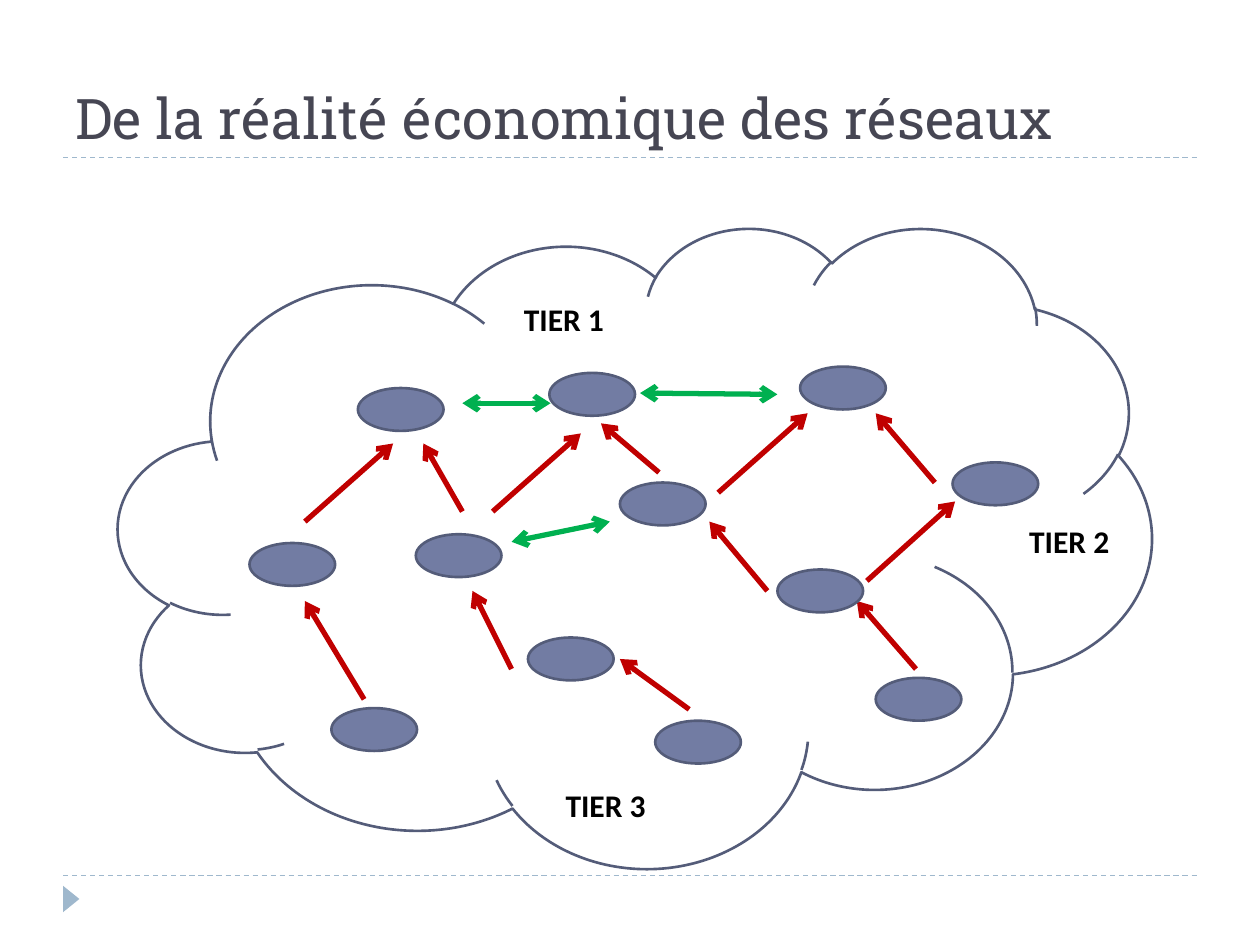
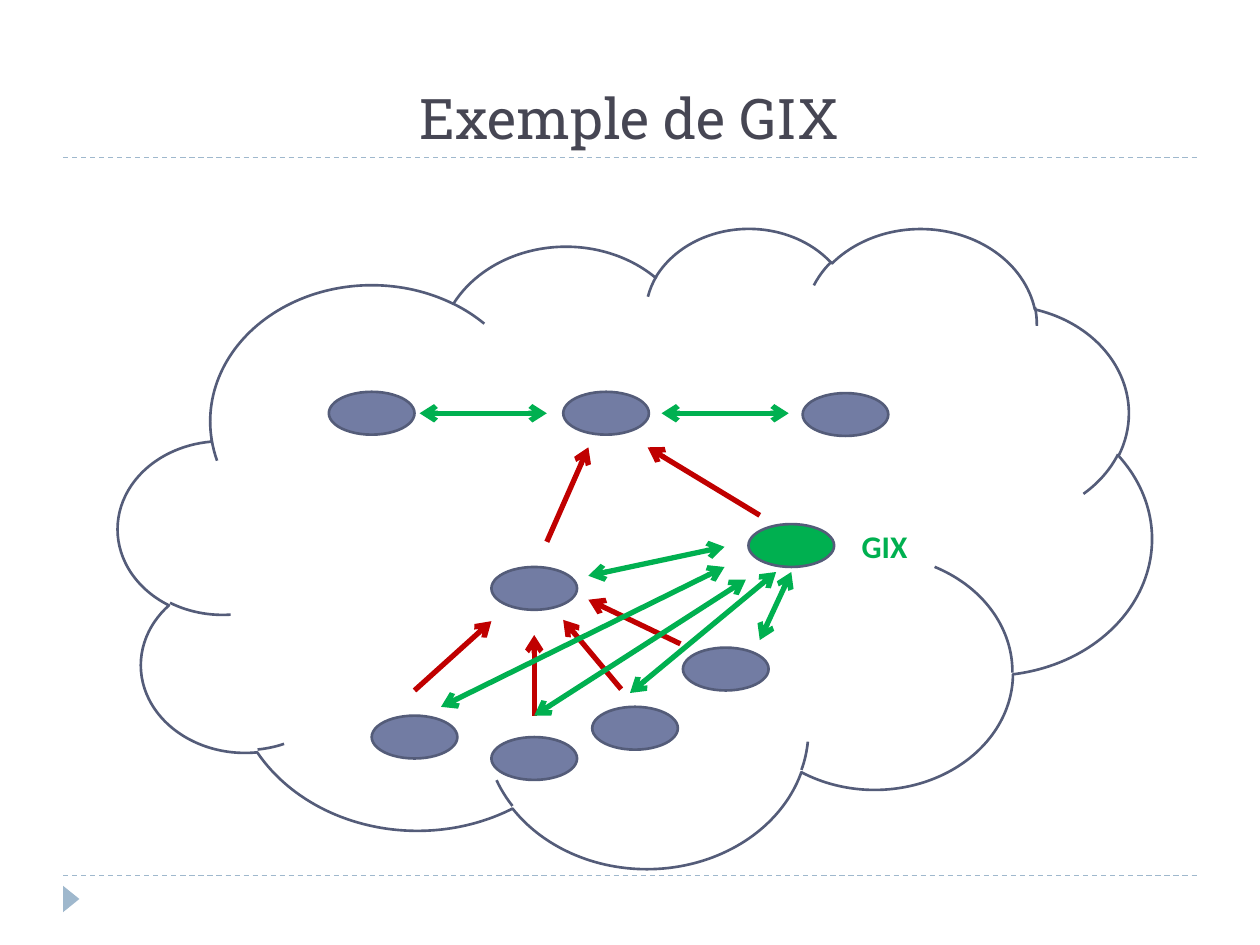
"""Build two slides on the economic tiers of networks and an exchange point."""
from lxml.etree import SubElement
from pptx import Presentation
from pptx.dml.color import RGBColor
from pptx.enum.dml import MSO_LINE
from pptx.enum.shapes import MSO_CONNECTOR, MSO_SHAPE
from pptx.enum.text import MSO_ANCHOR, PP_ALIGN
from pptx.oxml.ns import qn
from pptx.util import Pt

TITLE_INK = RGBColor(0x46, 0x46, 0x53)
RULE_BLUE = RGBColor(0x9F, 0xB8, 0xCD)
NODE_BLUE = RGBColor(0x72, 0x7C, 0xA3)
OUTLINE_BLUE = RGBColor(0x54, 0x5C, 0x79)
TRANSIT_RED = RGBColor(0xC0, 0x00, 0x00)
PEERING_GREEN = RGBColor(0x00, 0xB0, 0x50)
BLACK = RGBColor(0x00, 0x00, 0x00)

TITLE_FONT = {"name": "Roboto Slab", "size": Pt(32), "bold": False}
LABEL_FONT = {"name": "Calibri", "size": Pt(18), "bold": True}
NODE_WIDTH, NODE_HEIGHT = 0.68, 0.34
MARGIN, TITLE_RULE, FOOTER_RULE = 0.5, 1.25, 6.95

deck = Presentation()
deck.slide_width, deck.slide_height = Pt(720), Pt(540)
COLUMN = deck.slide_width / 10
ROW = deck.slide_height / 7.5


def add_figure(page, kind, left, top, width, height, fill=None, outline=None):
    """Add a preset shape measured in grid columns and rows."""
    figure = page.shapes.add_shape(
        kind, int(left * COLUMN), int(top * ROW), int(width * COLUMN), int(height * ROW)
    )
    figure.shadow.inherit = False
    for paint, color in ((figure.fill, fill), (figure.line.fill, outline)):
        if color is None:
            paint.background()
        else:
            paint.solid()
            paint.fore_color.rgb = color
    if outline is not None:
        figure.line.width = Pt(1.5)
    return figure


def add_line(page, start, end, color, weight, arrows=()):
    """Add a straight line with arrowheads at the named ends."""
    points = [int(n * cell) for point in (start, end) for n, cell in zip(point, (COLUMN, ROW))]
    line = page.shapes.add_connector(MSO_CONNECTOR.STRAIGHT, *points)
    line.line.color.rgb = color
    line.line.width = Pt(weight)
    properties = line._element.spPr
    for arrow in arrows:
        SubElement(properties.find(qn("a:ln")), qn(f"a:{arrow}"), type="arrow")
    SubElement(properties, qn("a:effectLst"))
    return line


slides = [
    {
        "title": "De la réalité économique des réseaux",
        "align": PP_ALIGN.LEFT,
        "transit": [
            ((3.67, 4.06), (3.36, 3.52)), ((2.42, 4.14), (3.12, 3.52)),
            ((3.91, 4.06), (4.61, 3.44)), ((5.7, 3.91), (6.41, 3.28)),
            ((7.42, 3.83), (6.95, 3.28)), ((7.27, 5.31), (6.8, 4.77)),
            ((5.47, 5.63), (4.92, 5.23)), ((2.89, 5.55), (2.42, 4.77)),
            ((6.09, 4.69), (5.63, 4.14)), ((6.88, 4.61), (7.58, 3.98)),
            ((4.06, 5.31), (3.75, 4.69)), ((5.23, 3.75), (4.77, 3.36)),
        ],
        "peering": [
            ((4.37, 3.2), (3.67, 3.2)), ((6.17, 3.13), (5.08, 3.12)),
            ((4.84, 4.14), (4.06, 4.3)),
        ],
        "networks": [
            (4.36, 2.96), (2.84, 3.08), (6.35, 2.91), (4.92, 3.83), (3.3, 4.24), (1.98, 4.31),
            (4.19, 5.06), (6.17, 4.52), (7.56, 3.67), (6.95, 5.38), (5.2, 5.72), (2.63, 5.62),
        ],
        "exchanges": [],
        "labels": [
            ("TIER 1", 4.06, 2.33, BLACK),
            ("TIER 2", 8.07, 4.09, BLACK),
            ("TIER 3", 4.39, 6.19, BLACK),
        ],
    },
    {
        "title": "Exemple de GIX",
        "align": PP_ALIGN.CENTER,
        "transit": [
            ((5.4, 5.11), (4.67, 4.76)), ((4.93, 5.47), (4.47, 4.92)),
            ((4.34, 4.3), (4.67, 3.55)), ((3.29, 5.48), (3.9, 4.93)),
            ((4.24, 5.68), (4.24, 5.04)), ((6.03, 4.09), (5.14, 3.55)),
        ],
        "peering": [
            ((6.26, 3.28), (5.25, 3.28)), ((4.34, 3.28), (3.33, 3.28)),
            ((5.75, 4.5), (3.5, 5.61)), ((5.92, 4.6), (4.24, 5.68)),
            ((6.16, 4.54), (5, 5.5)), ((6.28, 4.54), (6.03, 5.08)),
            ((5.75, 4.34), (4.67, 4.57)),
        ],
        "networks": [
            (2.61, 3.11), (4.47, 3.11), (6.37, 3.12), (3.9, 4.5),
            (2.95, 5.68), (3.9, 5.85), (4.7, 5.61), (5.42, 5.14),
        ],
        "exchanges": [(5.94, 4.16)],
        "labels": [("GIX", 6.74, 4.13, PEERING_GREEN)],
    },
]

for content in slides:
    page = deck.slides.add_slide(deck.slide_layouts[5])

    for height in (FOOTER_RULE, TITLE_RULE):
        rule = add_line(page, (MARGIN, height), (10 - MARGIN, height), RULE_BLUE, 0.75)
        rule.line.dash_style = MSO_LINE.DASH
    marker = add_figure(page, MSO_SHAPE.ISOSCELES_TRIANGLE, 0.46, 7.07, 0.21, 0.13, RULE_BLUE)
    marker.rotation = 90

    title = page.shapes.title
    title.left, title.top = int(MARGIN * COLUMN), int(0.17 * ROW)
    title.width, title.height = int(9 * COLUMN), int(1.08 * ROW)
    title.text_frame.text = content["title"]
    title.text_frame.vertical_anchor = MSO_ANCHOR.BOTTOM
    para = title.text_frame.paragraphs[0]
    para.alignment = content["align"]
    for name, value in TITLE_FONT.items():
        setattr(para.runs[0].font, name, value)
    para.runs[0].font.color.rgb = TITLE_INK

    add_figure(page, MSO_SHAPE.CLOUD, 0.94, 1.8, 8.2, 5.08, outline=OUTLINE_BLUE)
    for start, end in content["transit"]:
        add_line(page, start, end, TRANSIT_RED, 3, ["tailEnd"])
    for start, end in content["peering"]:
        add_line(page, start, end, PEERING_GREEN, 3, ["headEnd", "tailEnd"])
    for group, fill in (("networks", NODE_BLUE), ("exchanges", PEERING_GREEN)):
        for left, top in content[group]:
            add_figure(page, MSO_SHAPE.OVAL, left, top, NODE_WIDTH, NODE_HEIGHT, fill, OUTLINE_BLUE)

    for text, left, top, color in content["labels"]:
        box = page.shapes.add_textbox(
            int(left * COLUMN), int(top * ROW), int(1.2 * COLUMN), int(0.4 * ROW)
        )
        box.text_frame.word_wrap = True
        span = box.text_frame.paragraphs[0].add_run()
        span.text = text
        for name, value in LABEL_FONT.items():
            setattr(span.font, name, value)
        span.font.color.rgb = color

deck.save("out.pptx")
